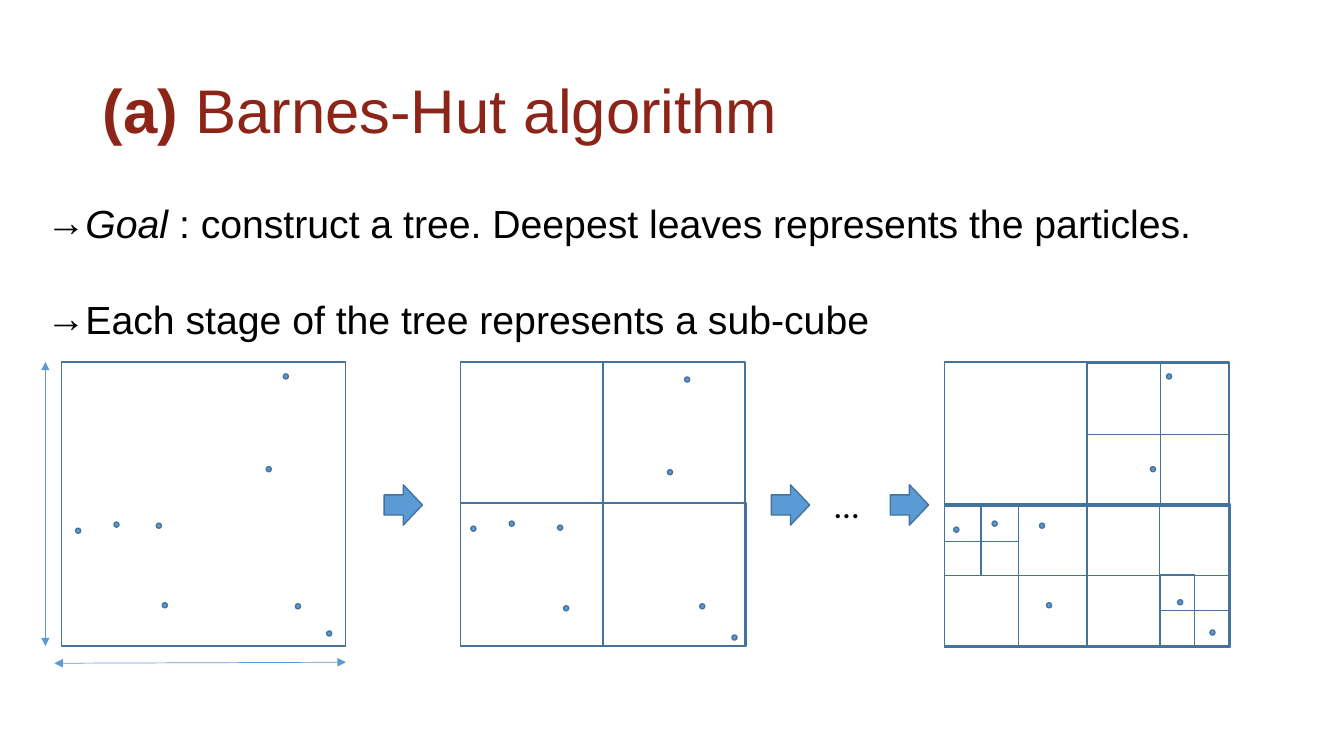
from dataclasses import dataclass

from lxml import etree
from pptx import Presentation
from pptx import util as u
from pptx.dml.color import RGBColor
from pptx.enum import shapes, text
from pptx.oxml.ns import qn

BLUE, EDGE, RED, BLACK = "5B9BD5", "43739E", "8C2517", "000000"
SIDE = 2.82
DOT = 0.05
TOP = 3.59


@dataclass
class Split:
    xs: tuple
    ys: tuple
    top_right: bool = True


@dataclass
class Stage:
    left: float
    splits: list
    particles: list


def color(value: str) -> RGBColor:
    return RGBColor.from_string(value)


def add_run(p, words: str, size: float, ink: str, font: str = "Arial",
            bold: bool = False, italic: bool = False) -> None:
    r = p.add_run()
    r.text = words
    r.font.name, r.font.size = font, u.Pt(size)
    r.font.bold, r.font.italic = bold, italic
    r.font.color.rgb = color(ink)


def place(sp, left: float, top: float, width: float, height: float) -> None:
    sp.left, sp.top = u.Inches(left), u.Inches(top)
    sp.width, sp.height = u.Inches(width), u.Inches(height)


def add_preset(s, kind, left: float, top: float, width: float, height: float,
               filled: bool = True) -> None:
    sp = s.shapes.add_shape(kind, *map(u.Inches, (left, top, width, height)))
    sp.shadow.inherit = False
    if filled:
        sp.fill.solid()
        sp.fill.fore_color.rgb = color(BLUE)
    else:
        sp.fill.background()
    sp.line.color.rgb = color(EDGE)
    sp.line.width = u.Pt(1)


def add_split(s, split: Split) -> None:
    for row, (y0, y1) in enumerate(zip(split.ys, split.ys[1:])):
        for col, (x0, x1) in enumerate(zip(split.xs, split.xs[1:])):
            if split.top_right or (row, col) != (0, 1):
                add_preset(s, shapes.MSO_SHAPE.RECTANGLE, x0, y0, x1 - x0, y1 - y0, False)


def add_stage(s, stage: Stage) -> None:
    add_preset(s, shapes.MSO_SHAPE.RECTANGLE, stage.left, TOP, SIDE, SIDE, False)
    for split in stage.splits:
        add_split(s, split)
    for x, y in stage.particles:
        add_preset(s, shapes.MSO_SHAPE.OVAL, x, y, DOT, DOT)


def add_dimension(s, x0: float, y0: float, x1: float, y1: float) -> None:
    cx = s.shapes.add_connector(shapes.MSO_CONNECTOR.STRAIGHT,
                                *map(u.Inches, (x0, y0, x1, y1)))
    cx.line.color.rgb = color(BLUE)
    cx.line.width = u.Pt(0.5)
    ln = cx.line._get_or_add_ln()
    for end in ("a:headEnd", "a:tailEnd"):
        etree.SubElement(ln, qn(end), type="triangle")
    etree.SubElement(cx._element.spPr, qn("a:effectLst"))


def add_arrow_bullet(p) -> None:
    pPr = p._p.get_or_add_pPr()
    pPr.set("marL", str(u.Inches(0.25)))
    pPr.set("indent", str(u.Inches(-0.25)))
    etree.SubElement(pPr, qn("a:buFont"), typeface="Arial")
    etree.SubElement(pPr, qn("a:buChar"), char="→")


STAGES = [
    Stage(0.61, [], [(1.55, 5.19), (1.61, 5.98), (2.64, 4.63), (2.81, 3.71),
                     (3.24, 6.26), (0.75, 5.24), (1.13, 5.18), (2.93, 5.99)]),
    Stage(4.57, [Split((4.57, 5.98, 7.4), (3.59, 4.99, 6.41), False)],
          [(5.53, 5.21), (5.59, 6.01), (6.62, 4.66), (6.79, 3.74),
           (4.67, 5.22), (5.05, 5.17), (6.94, 5.99), (7.26, 6.3)]),
    Stage(9.37, [
        Split((9.37, 10.78, 12.2), (3.59, 5.0, 6.42), False),
        Split((10.78, 11.51, 12.19), (3.6, 4.31, 5.01)),
        Split((10.78, 11.5, 12.2), (5.02, 5.71, 6.41)),
        Split((9.37, 10.1, 10.78), (5.02, 5.71, 6.42)),
        Split((9.37, 9.73, 10.1), (5.02, 5.37, 5.71)),
        Split((11.51, 11.85, 12.19), (5.7, 6.06, 6.42), False),
    ], [(9.46, 5.23), (10.31, 5.19), (9.84, 5.17), (10.38, 5.98),
        (11.68, 5.95), (11.41, 4.63), (11.57, 3.71), (12.0, 6.25)]),
]

BULLETS = [
    [("Goal", True), (" : construct a tree. Deepest leaves represents the particles.", False)],
    [("Each stage of the tree represents a sub-cube", False)],
]

prs = Presentation()
prs.slide_width, prs.slide_height = u.Inches(13.33), u.Inches(7.5)
s = prs.slides.add_slide(prs.slide_layouts[1])

title = s.shapes.title
place(title, 0.92, 0.4, 11.5, 1.45)
tf = title.text_frame
tf.auto_size = text.MSO_AUTO_SIZE.NONE
tf.vertical_anchor = text.MSO_ANCHOR.MIDDLE
p = tf.paragraphs[0]
p.alignment, p.line_spacing = text.PP_ALIGN.LEFT, 0.9
add_run(p, "(a) ", 44, RED, bold=True)
add_run(p, "Barnes-Hut algorithm", 44, RED)

body = s.placeholders[1]
place(body, 0.36, 1.98, 12.17, 4.76)
tf = body.text_frame
tf.auto_size = text.MSO_AUTO_SIZE.NONE
for i, runs in enumerate(BULLETS):
    p = tf.add_paragraph() if i else tf.paragraphs[0]
    p.line_spacing, p.space_before = 0.9, u.Pt(38 if i else 0)
    add_arrow_bullet(p)
    for words, italic in runs:
        add_run(p, words, 28, BLACK, italic=italic)

for stage in STAGES:
    add_stage(s, stage)
for left in (3.81, 7.65, 8.83):
    add_preset(s, shapes.MSO_SHAPE.RIGHT_ARROW, left, 4.81, 0.38, 0.4)

add_dimension(s, 0.45, TOP, 0.45, TOP + SIDE)
add_dimension(s, 3.43, 6.57, 0.54, 6.58)

dots = s.shapes.add_textbox(*map(u.Inches, (8.18, 4.75, 0.44, 0.52)))
tf = dots.text_frame
tf.word_wrap = False
tf.auto_size = text.MSO_AUTO_SIZE.SHAPE_TO_FIT_TEXT
add_run(tf.paragraphs[0], "…", 25, BLACK, "Calibri")

prs.save("out.pptx")
